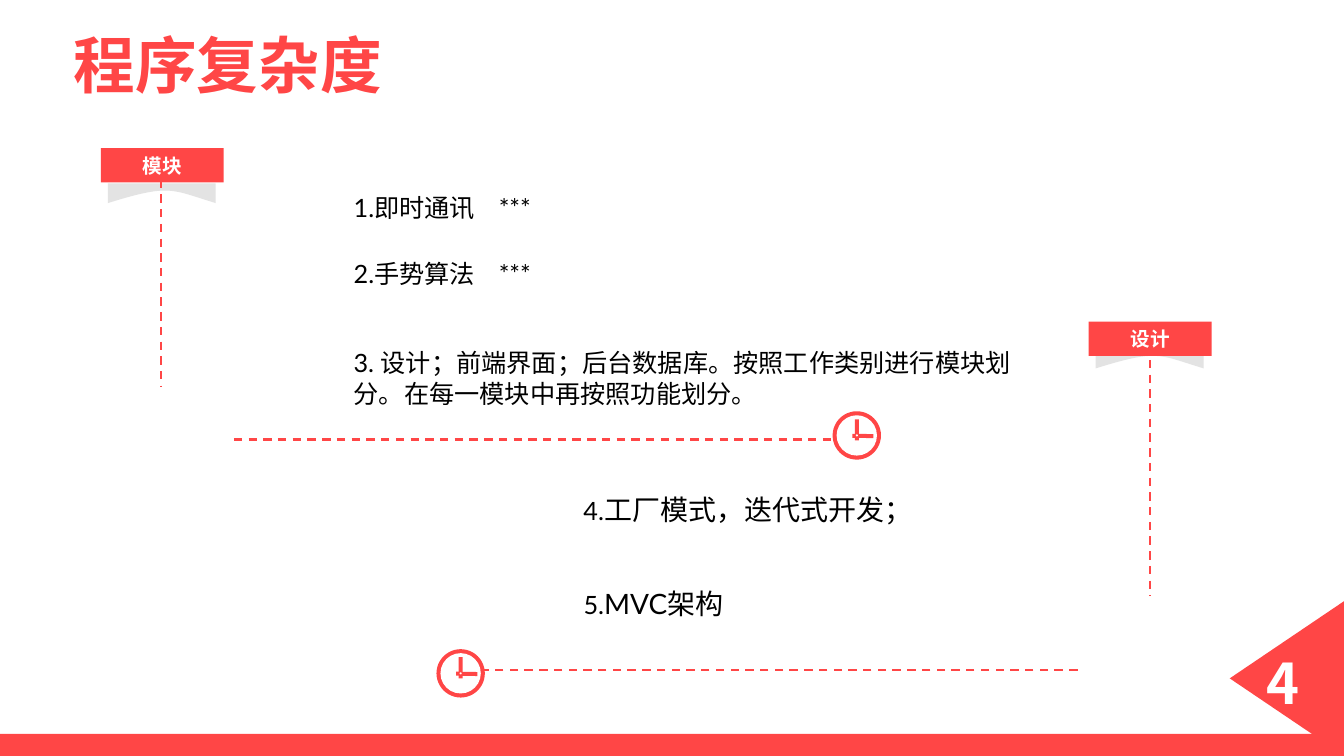
from dataclasses import dataclass

from lxml import etree
from pptx import Presentation
from pptx import util as u
from pptx.dml.color import RGBColor
from pptx.enum import dml, shapes, text
from pptx.oxml.ns import qn

RED = RGBColor(0xFF, 0x46, 0x46)
WHITE = RGBColor(0xFF, 0xFF, 0xFF)
BLACK = RGBColor(0x00, 0x00, 0x00)
GREY = RGBColor(0xDD, 0xDD, 0xDD)
LATIN, CHINESE, NUMERAL = "Lato", "Noto Sans CJK SC", "Noto Sans CJK JP"

# Every length counts columns and rows of a grid of square cells.
CELL = u.Inches(0.1)
COLUMNS, ROWS = 133.33, 75
STARS_TAB = 14.4
CURVE_STEPS = 24

RECTANGLE = shapes.MSO_SHAPE.RECTANGLE
OVAL = shapes.MSO_SHAPE.OVAL
TRIANGLE = shapes.MSO_SHAPE.ISOSCELES_TRIANGLE


def cells(count: float) -> int:
    return round(count * CELL)


@dataclass(frozen=True)
class Box:
    column: float
    row: float
    width: float
    height: float

    def lengths(self) -> tuple[int, ...]:
        return tuple(map(cells, (self.column, self.row, self.width, self.height)))


@dataclass(frozen=True)
class Style:
    size: float
    latin: str = LATIN
    east_asian: str = CHINESE
    color: RGBColor = BLACK
    bold: bool = False


@dataclass(frozen=True)
class Label:
    box: Box
    pieces: tuple[tuple[str, Style], ...]
    centred: bool = False


@dataclass(frozen=True)
class Part:
    kind: shapes.MSO_SHAPE
    box: Box
    color: RGBColor
    rotation: float = 0


@dataclass(frozen=True)
class Badge:
    title: str
    column: float
    row: float
    tail_column: float
    tail_row: float


@dataclass(frozen=True)
class Dash:
    column: float
    row: float
    end_column: float
    end_row: float


TITLE = Style(44, CHINESE, CHINESE, RED, True)
PAGE = Style(40, NUMERAL, NUMERAL, WHITE, True)
BADGE = Style(14, CHINESE, CHINESE, WHITE, True)
BODY = Style(18)
LARGE = Style(20)

LABELS = (
    Label(Box(3.5, 2.2, 38.2, 8.4), (("程序复杂度", TITLE),), True),
    Label(Box(124.7, 63.8, 5.6, 7.7), (("4", PAGE),)),
    Label(Box(34.1, 18.6, 64.9, 4), (("1.即时通讯\t***", BODY),)),
    Label(Box(34.1, 25.1, 62.5, 4), (("2.手势算法\t***", BODY),)),
    Label(Box(34.1, 34, 67.4, 10.1), ((
        "3. 设计；前端界面；后台数据库。按照工作类别进行模块划分。"
        "在每一模块中再按照功能划分。", BODY),)),
    Label(Box(56.9, 48.4, 73.4, 4.4), (("4.", BODY), ("工厂模式，迭代式开发；", LARGE))),
    Label(Box(56.9, 57.7, 70.2, 4.4), (("5.", BODY), ("MVC架构", LARGE))),
)
FRAME = (
    Part(RECTANGLE, Box(-0.7, 72.8, 135.8, 2.2), RED),
    Part(TRIANGLE, Box(120, 61.6, 15.4, 11.4), RED, 270),
)
BADGES = (
    Badge("模块", 10, 14.7, 10.7, 18.2),
    Badge("设计", 108, 31.9, 108.7, 34.6),
)
DASHES = (
    Dash(16, 14.9, 16, 38.3),
    Dash(23.2, 43.6, 82.6, 43.6),
    Dash(114.1, 35.7, 114.1, 59.1),
    Dash(106.9, 66.5, 47.4, 66.5),
)
CLOCK_CORNERS = ((82.6, 40.8), (43.3, 64.4))
CLOCK = (
    Part(OVAL, Box(0, 0, 4.8, 4.8), RED),
    Part(OVAL, Box(0.4, 0.4, 4, 4), WHITE),
    Part(RECTANGLE, Box(2.2, 0.8, 0.4, 2.1), RED),
    Part(RECTANGLE, Box(2.8, 1.4, 0.4, 2.1), RED, 91),
    Part(OVAL, Box(2.3, 2.3, 0.2, 0.2), WHITE),
)


def paint(shape, color: RGBColor) -> None:
    shape.shadow.inherit = False
    shape.fill.solid()
    shape.fill.fore_color.rgb = color
    shape.line.fill.background()


def add_part(container, part: Part, column: float = 0, row: float = 0):
    box = Box(part.box.column + column, part.box.row + row, part.box.width, part.box.height)
    shape = container.add_shape(part.kind, *box.lengths())
    shape.rotation = part.rotation
    paint(shape, part.color)
    return shape


def add_piece(paragraph, wording: str, style: Style) -> None:
    run = paragraph.add_run()
    run.text = wording
    run.font.size = u.Pt(style.size)
    run.font.bold = style.bold
    run.font.color.rgb = style.color
    run.font.name = style.latin
    east_asian = etree.Element(qn("a:ea"), typeface=style.east_asian)
    run.font._element.find(qn("a:latin")).addnext(east_asian)


def add_label(slide, label: Label) -> None:
    frame = slide.shapes.add_textbox(*label.box.lengths()).text_frame
    frame.word_wrap = True
    paragraph = frame.paragraphs[0]
    if label.centred:
        paragraph.alignment = text.PP_ALIGN.CENTER
    if any("\t" in wording for wording, _ in label.pieces):
        tabs = etree.SubElement(paragraph._p.get_or_add_pPr(), qn("a:tabLst"))
        etree.SubElement(tabs, qn("a:tab"), pos=str(cells(STARS_TAB)), algn="l")
    for wording, style in label.pieces:
        add_piece(paragraph, wording, style)


def add_tail(slide, column: float, row: float) -> None:
    """Draw the grey strip under a badge, its lower edge a cubic curve."""
    (x0, y0), (x1, y1), (x2, y2), (x3, y3) = (10.7, 1.95), (6.15, 0.55), (6.15, 0.05), (0, 1.95)
    points = [(10.7, 0)]
    for step in range(CURVE_STEPS + 1):
        t = step / CURVE_STEPS
        a, b, c, d = (1 - t) ** 3, 3 * t * (1 - t) ** 2, 3 * t * t * (1 - t), t ** 3
        points.append((a * x0 + b * x1 + c * x2 + d * x3, a * y0 + b * y1 + c * y2 + d * y3))
    builder = slide.shapes.build_freeform(cells(column), cells(row))
    builder.add_line_segments([(cells(column + x), cells(row + y)) for x, y in points])
    shape = builder.convert_to_shape()
    paint(shape, GREY)
    color = shape._element.spPr.find(qn("a:solidFill")).find(qn("a:srgbClr"))
    etree.SubElement(color, qn("a:alpha"), val="80000")


def add_dash(slide, dash: Dash) -> None:
    ends = map(cells, (dash.column, dash.row, dash.end_column, dash.end_row))
    connector = slide.shapes.add_connector(shapes.MSO_CONNECTOR.STRAIGHT, *ends)
    connector.line.color.rgb = RED
    connector.line.width = u.Pt(1.5)
    connector.line.dash_style = dml.MSO_LINE.DASH
    etree.SubElement(connector._element.spPr, qn("a:effectLst"))


def add_badge(slide, badge: Badge) -> None:
    box = Box(badge.column, badge.row, 12.2, 3.4)
    frame = add_part(slide.shapes, Part(RECTANGLE, box, RED)).text_frame
    frame.vertical_anchor = text.MSO_ANCHOR.MIDDLE
    paragraph = frame.paragraphs[0]
    paragraph.alignment = text.PP_ALIGN.CENTER
    add_piece(paragraph, badge.title, BADGE)


def main() -> None:
    presentation = Presentation()
    presentation.slide_width, presentation.slide_height = cells(COLUMNS), cells(ROWS)
    slide = presentation.slides.add_slide(presentation.slide_layouts[6])

    # Footer and page corner
    for part in FRAME:
        add_part(slide.shapes, part)

    # Badges, with tails and dashed lines behind them
    for badge in BADGES:
        add_tail(slide, badge.tail_column, badge.tail_row)
    for dash in DASHES:
        add_dash(slide, dash)
    for badge in BADGES:
        add_badge(slide, badge)

    # Title, page number and points
    for label in LABELS:
        add_label(slide, label)

    # Clocks
    for column, row in CLOCK_CORNERS:
        clock = slide.shapes.add_group_shape()
        for part in CLOCK:
            add_part(clock.shapes, part, column, row)

    presentation.save("out.pptx")


if __name__ == "__main__":
    main()
